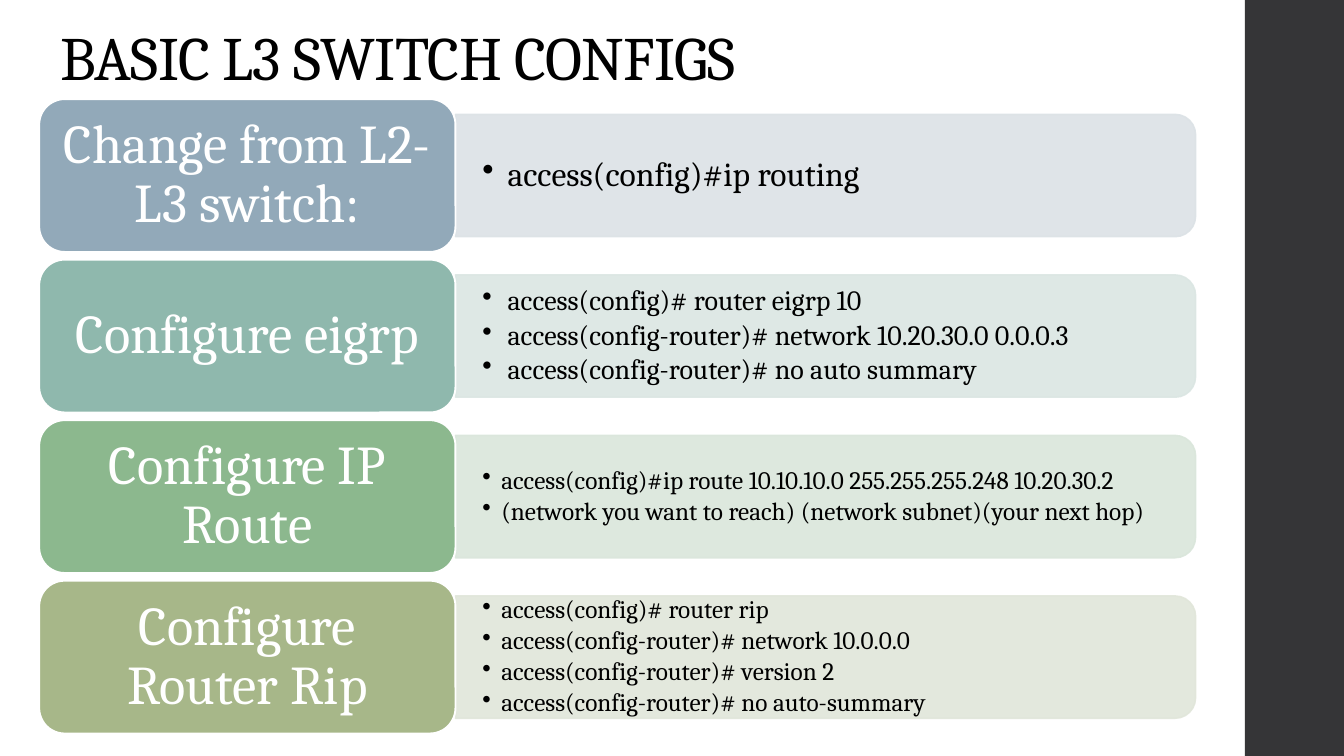
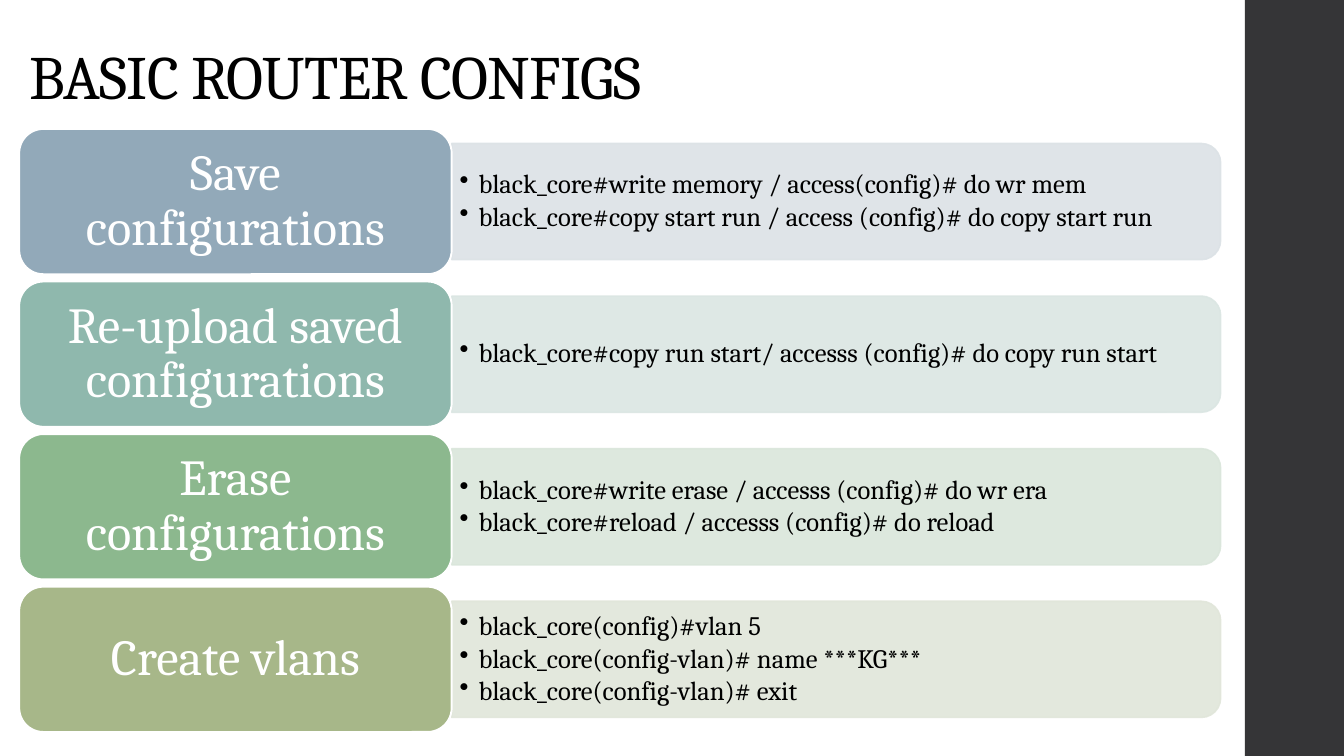
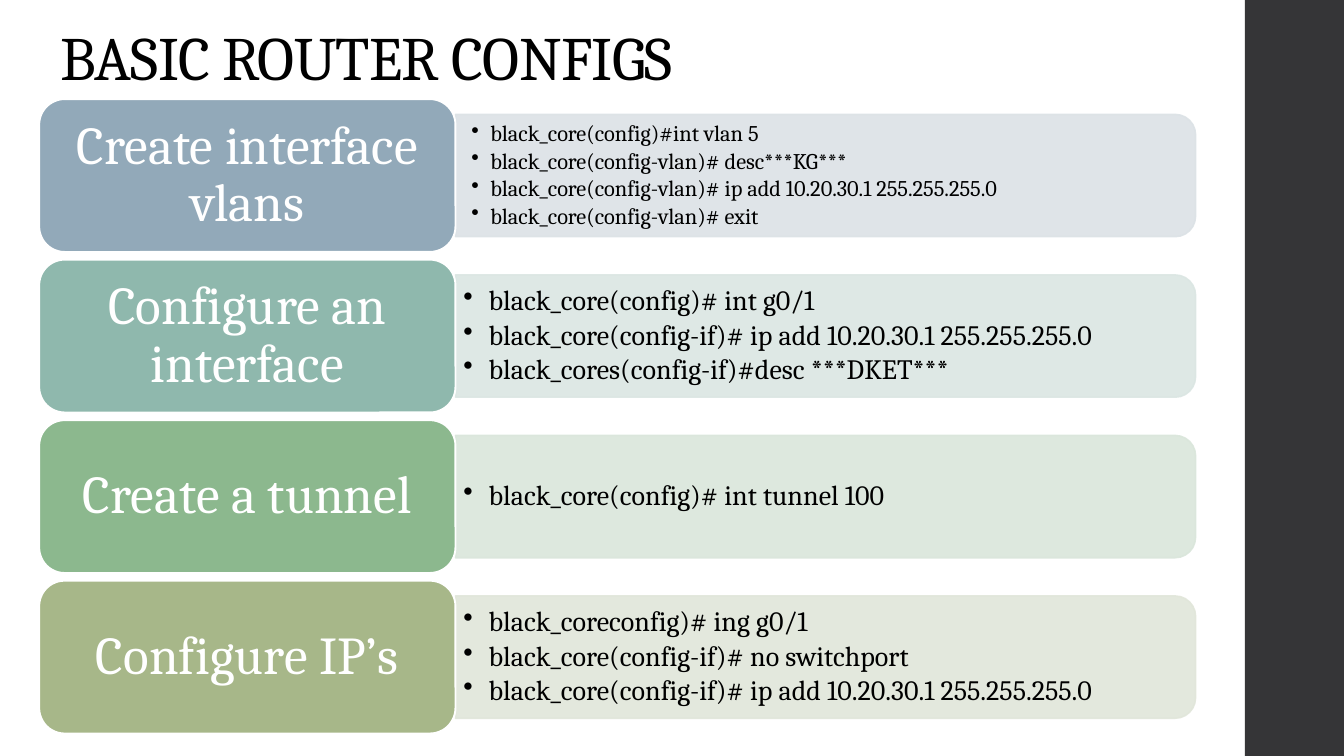
from dataclasses import dataclass

from lxml.etree import SubElement
from pptx import Presentation
from pptx.dml.color import RGBColor
from pptx.enum.shapes import MSO_SHAPE
from pptx.enum.text import MSO_ANCHOR, MSO_AUTO_SIZE, PP_ALIGN
from pptx.oxml.ns import qn
from pptx.util import Pt


@dataclass(frozen=True)
class Theme:
    font: str = "Cambria"
    ink: str = "000000"
    paper: str = "FFFFFF"
    rail: str = "353537"
    labels: tuple = ("92A9B9", "8FB8AD", "8CB88E", "A7B789")
    panels: tuple = ("DCE2E6", "DBE6E3", "DAE6DB", "E1E6DA")
    title_size: int = 44
    line_spacing: float = 0.9


THEME = Theme()
LABEL_SHARE = 0.36   # label width / row width
PANEL_SHARE = 0.8    # panel height / label height
ROW_PITCH = 1.05     # row distance / label height
CORNER = 0.05        # space kept free of text at the panel corners / panel height

# Frames: title left and bottom, rows left and top, row width, label height
WIDE = dict(title_left=36, title_bottom=70.5, left=28, top=70.8, width=826, height=109.2)
LOW = dict(title_left=13.7, title_bottom=84.2, left=13.7, top=92.1, width=858.2, height=103.8)

# Rows: label, command size, side inset, commands
TOPICS = [
    ("BASIC L3 SWITCH CONFIGS", WIDE, 39, [
        ("Change from L2-L3 switch:", 24, 19.2, ["access(config)#ip routing"]),
        ("Configure eigrp", 20, 19.2, [
            "access(config)# router eigrp 10",
            "access(config-router)# network 10.20.30.0 0.0.0.3",
            "access(config-router)# no auto summary"]),
        ("Configure IP Route", 18, 19.2, [
            "access(config)#ip route 10.10.10.0 255.255.255.248 10.20.30.2",
            "(network you want to reach) (network subnet)(your next hop)"]),
        ("Configure Router Rip", 18, 19.2, [
            "access(config)# router rip",
            "access(config-router)# network 10.0.0.0",
            "access(config-router)# version 2",
            "access(config-router)# no auto-summary"]),
    ]),
    ("BASIC ROUTER CONFIGS", LOW, 36, [
        ("Save configurations", 19, 5.7, [
            "black_core#write memory / access(config)# do wr mem",
            "black_core#copy start run / access (config)# do copy start run"]),
        ("Re-upload saved configurations", 19, 5.7, [
            "black_core#copy run start/ accesss (config)# do copy run start"]),
        ("Erase configurations", 19, 5.7, [
            "black_core#write erase / accesss (config)# do wr era",
            "black_core#reload / accesss (config)# do reload"]),
        ("Create vlans", 19, 5.7, [
            "black_core(config)#vlan 5",
            "black_core(config-vlan)# name ***KG***",
            "black_core(config-vlan)# exit"]),
    ]),
    ("BASIC ROUTER CONFIGS", WIDE, 38, [
        ("Create interface vlans", 16, 11.4, [
            "black_core(config)#int vlan 5",
            "black_core(config-vlan)# desc***KG***",
            "black_core(config-vlan)# ip add 10.20.30.1 255.255.255.0",
            "black_core(config-vlan)# exit"]),
        ("Configure an interface", 20, 5.7, [
            "black_core(config)# int g0/1",
            "black_core(config-if)# ip add 10.20.30.1 255.255.255.0",
            "black_cores(config-if)#desc ***DKET***"]),
        ("Create a tunnel", 20, 5.7, ["black_core(config)# int tunnel 100"]),
        ("Configure IP’s", 20, 5.7, [
            "black_coreconfig)# ing g0/1",
            "black_core(config-if)# no switchport",
            "black_core(config-if)# ip add 10.20.30.1 255.255.255.0"]),
    ]),
]


def add_block(slide, kind, box, fill, line, line_width):
    block = slide.shapes.add_shape(kind, *map(Pt, box))
    block.shadow.inherit = False
    block.fill.solid()
    block.fill.fore_color.rgb = RGBColor.from_string(fill)
    block.line.color.rgb = RGBColor.from_string(line)
    block.line.width = Pt(line_width)
    return block


def write(frame, lines, size, color, inset, align=PP_ALIGN.LEFT, anchor=MSO_ANCHOR.MIDDLE):
    """Fill a text frame, one paragraph a line; the side inset is twice the top one."""
    frame.word_wrap = True
    frame.auto_size = MSO_AUTO_SIZE.NONE
    frame.vertical_anchor = anchor
    frame.margin_left = frame.margin_right = Pt(inset)
    frame.margin_top = frame.margin_bottom = Pt(inset / 2)
    for index, line in enumerate(lines):
        paragraph = frame.add_paragraph() if index else frame.paragraphs[0]
        paragraph.alignment = align
        paragraph.line_spacing = THEME.line_spacing
        run = paragraph.add_run()
        run.text = line
        run.font.name = THEME.font
        run.font.size = Pt(size)
        run.font.color.rgb = RGBColor.from_string(color)
    return frame.paragraphs


prs = Presentation()
prs.slide_width, prs.slide_height = Pt(960), Pt(540)
title_only = prs.slide_layouts[5]

for number, (heading, frame, label_size, rows) in enumerate(TOPICS):
    slide = prs.slides.add_slide(title_only)

    if number == 0:
        # The dark rail belongs to the master, behind everything else
        rail = add_block(slide, MSO_SHAPE.RECTANGLE, (889.2, 0, 70.8, 540),
                         THEME.rail, THEME.rail, 1)
        rail.line.fill.background()
        rail.element.nvSpPr.cNvPr.set("id", "99")
        prs.slide_master.shapes.element.insert(2, rail.element)

    title = slide.shapes.title
    title.left, title.top = Pt(frame["title_left"]), Pt(0)
    title.width, title.height = Pt(763.2), Pt(frame["title_bottom"])
    (heading_line,) = write(title.text_frame, [heading], THEME.title_size, THEME.ink, 7.2,
                            anchor=MSO_ANCHOR.BOTTOM)
    heading_line.space_after = Pt(6)
    heading_line.runs[0].font._element.set("spc", "-50")

    label_width = frame["width"] * LABEL_SHARE
    panel_width = frame["width"] - label_width
    panel_height = frame["height"] * PANEL_SHARE
    panel_left = frame["left"] + label_width
    margin = panel_height * CORNER

    for row, (label, size, inset, commands) in enumerate(rows):
        top = frame["top"] + row * frame["height"] * ROW_PITCH
        panel_top = top + (frame["height"] - panel_height) / 2

        # Drawn upright about the same centre, then turned so its round end faces right
        turn = (panel_width - panel_height) / 2
        panel = add_block(slide, MSO_SHAPE.ROUND_2_SAME_RECTANGLE,
                          (panel_left + turn, panel_top - turn, panel_height, panel_width),
                          THEME.panels[row], THEME.panels[row], 1.1)
        panel.rotation = 90
        for color in panel.element.spPr.iter(qn("a:srgbClr")):
            SubElement(color, qn("a:alpha"), val="90000")

        command_list = slide.shapes.add_textbox(
            Pt(panel_left), Pt(panel_top + margin),
            Pt(panel_width - margin), Pt(panel_height - 2 * margin))
        indent = Pt(18 if size >= 20 else 13.5)
        for command in write(command_list.text_frame, commands, size, THEME.ink, inset):
            properties = command._p.get_or_add_pPr()
            properties.set("marL", str(indent))
            properties.set("indent", str(-indent))
            SubElement(properties, qn("a:buChar"), char="•")
            command.space_after = Pt(size * 0.15)

        label_block = add_block(slide, MSO_SHAPE.ROUNDED_RECTANGLE,
                                (frame["left"], top, label_width, frame["height"]),
                                THEME.labels[row], THEME.paper, 1.35)
        write(label_block.text_frame, [label], label_size, THEME.paper, label_size * 0.3,
              align=PP_ALIGN.CENTER)

prs.save("out.pptx")
